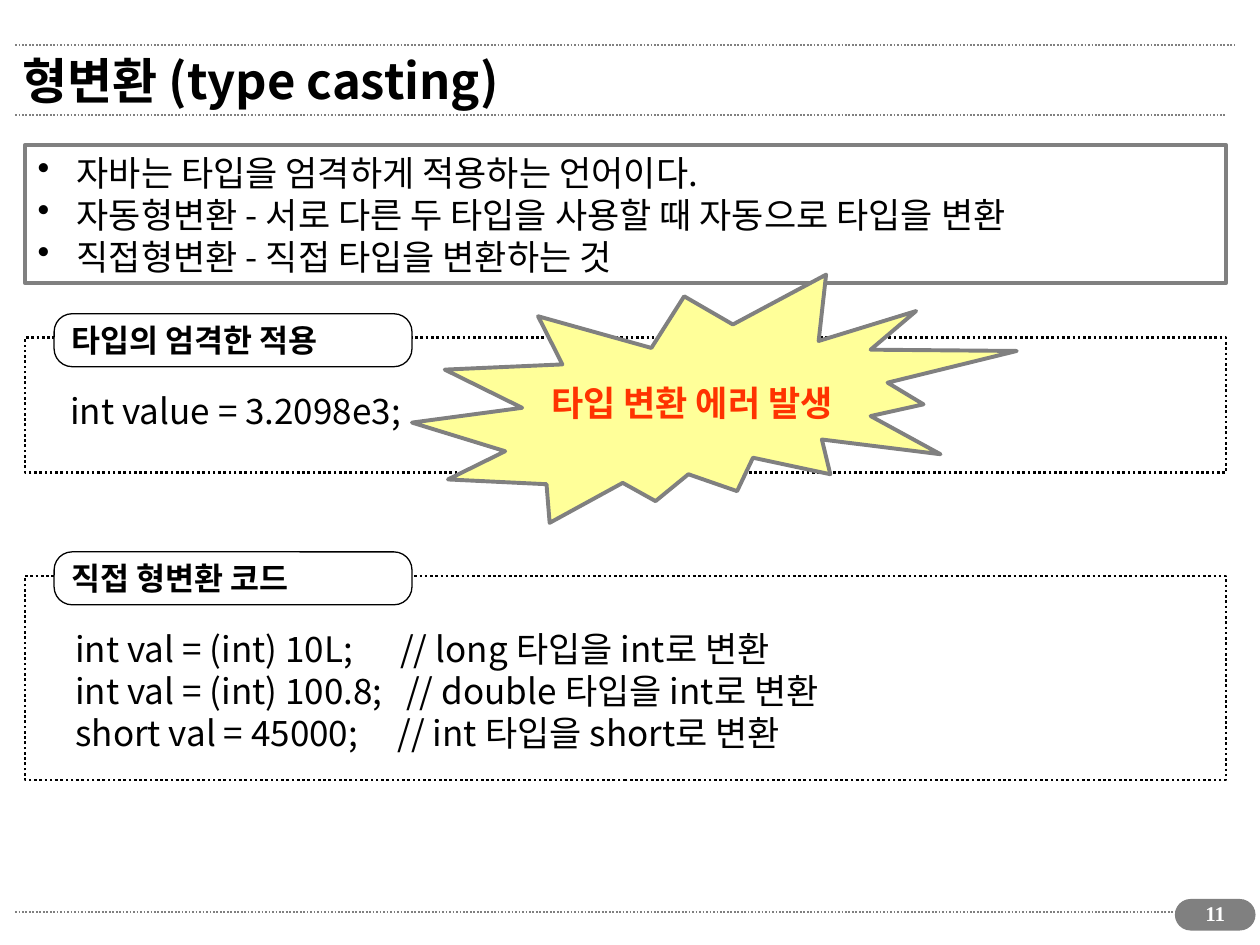
import dataclasses
import typing

import lxml.etree
import pptx
import pptx.dml.color
import pptx.enum.dml
import pptx.enum.shapes
import pptx.enum.text
import pptx.oxml
import pptx.oxml.ns
import pptx.util

Inches = pptx.util.Inches
Pt = pptx.util.Pt
Shape = pptx.enum.shapes.MSO_SHAPE
Align = pptx.enum.text.PP_ALIGN
Anchor = pptx.enum.text.MSO_ANCHOR
Dash = pptx.enum.dml.MSO_LINE

COLORS = {
    "black": "000000",
    "white": "FFFFFF",
    "gray": "808080",
    "yellow": "FFFF99",
    "red": "FF3300",
}
KOREAN_FONT = "Noto Sans CJK KR"
NUMBER_FONT = "Times New Roman"


@dataclasses.dataclass
class Area:
    left: float
    top: float
    width: float
    height: float

    def lengths(self) -> list[int]:
        return [Inches(n) for n in (self.left, self.top, self.width, self.height)]


@dataclasses.dataclass
class Style:
    size: float = 20
    color: str = "black"
    bold: bool = False
    font: str = KOREAN_FONT
    align: typing.Any = Align.LEFT
    anchor: typing.Any = Anchor.TOP
    wrap: bool = False
    bullet: bool = False


@dataclasses.dataclass
class Section:
    heading: str
    frame: Area
    code: list[str]
    code_area: Area


LABEL_STYLE = Style(size=18, bold=True, anchor=Anchor.MIDDLE)
SECTIONS = [
    Section("타입의 엄격한 적용", Area(0.2, 2.68, 9.53, 1.07),
            ["int value = 3.2098e3;"], Area(0.46, 3.04, 2.88, 0.44)),
    Section("직접 형변환 코드", Area(0.2, 4.57, 9.53, 1.62),
            ["int val = (int) 10L;      // long 타입을 int로 변환",
             "int val = (int) 100.8;   // double 타입을 int로 변환",
             "short val = 45000;     // int 타입을 short로 변환"],
            Area(0.5, 4.93, 6.37, 1.1)),
]


def rgb(name: str) -> pptx.dml.color.RGBColor:
    return pptx.dml.color.RGBColor.from_string(COLORS[name])


def add_bullet(para) -> None:
    properties = para._p.get_or_add_pPr()
    properties.set("marL", str(Inches(0.31)))
    properties.set("indent", str(-Inches(0.31)))
    mark = lxml.etree.SubElement(properties, pptx.oxml.ns.qn("a:buChar"))
    mark.set("char", "•")


def write(shape, lines: list[str], style: Style) -> None:
    """Fill a shape with one paragraph per line, in Latin and East Asian type."""
    frame = shape.text_frame
    frame.word_wrap = style.wrap
    frame.vertical_anchor = style.anchor
    frame.text = "\n".join(lines)
    for para in frame.paragraphs:
        para.alignment = style.align
        para.line_spacing = Pt(round(style.size * 1.2, 1))
        if style.bullet:
            add_bullet(para)
        for span in para.runs:
            span.font.size = Pt(style.size)
            span.font.bold = style.bold
            span.font.name = style.font
            span.font.color.rgb = rgb(style.color)
            east_asian = lxml.etree.SubElement(
                span._r.get_or_add_rPr(), pptx.oxml.ns.qn("a:ea"))
            east_asian.set("typeface", style.font)


def add_text(page, area: Area, lines: list[str], style: Style) -> None:
    write(page.shapes.add_textbox(*area.lengths()), lines, style)


def add_box(page, kind, area: Area, line: str, weight: float,
            fill: str | None = None, dash=None, corner: float | None = None):
    box = page.shapes.add_shape(kind, *area.lengths())
    box.shadow.inherit = False
    if corner is not None:
        box.adjustments[0] = corner
    if fill:
        box.fill.solid()
        box.fill.fore_color.rgb = rgb(fill)
    else:
        box.fill.background()
    box.line.color.rgb = rgb(line)
    box.line.width = Pt(weight)
    if dash:
        box.line.dash_style = dash
    return box


def add_rule(page, y: float, right: float) -> None:
    rule = page.shapes.add_connector(
        pptx.enum.shapes.MSO_CONNECTOR.STRAIGHT,
        Inches(0.12), Inches(y), Inches(right), Inches(y))
    rule.line.color.rgb = rgb("gray")
    rule.line.width = Pt(1)
    rule.line.dash_style = Dash.ROUND_DOT
    lxml.etree.SubElement(rule._element.spPr, pptx.oxml.ns.qn("a:effectLst"))


def add_section_frame(page, section: Section) -> None:
    add_box(page, Shape.RECTANGLE, section.frame, "black", 1.5, dash=Dash.ROUND_DOT)
    label_area = Area(0.43, section.frame.top - 0.19, 2.84, 0.42)
    label = add_box(page, Shape.ROUNDED_RECTANGLE, label_area, "black", 0.75,
                    fill="white", corner=0.34)
    write(label, [section.heading], LABEL_STYLE)
    add_text(page, section.code_area, section.code, Style())


def main() -> None:
    deck = pptx.Presentation()
    deck.slide_width, deck.slide_height = Inches(10), Inches(7.5)
    page = deck.slides.add_slide(deck.slide_layouts[6])

    for y, right in ((7.24, 9.73), (0.91, 9.72), (0.36, 9.8)):
        add_rule(page, y, right)
    add_box(page, Shape.ROUNDED_RECTANGLE, Area(9.33, 7.14, 0.63, 0.24),
            "gray", 0.75, fill="gray", corner=0.5)
    add_text(page, Area(0.08, 0.28, 9.1, 0.71), ["형변환 (type casting)"],
             Style(size=28, bold=True, anchor=Anchor.MIDDLE, wrap=True))

    summary = add_box(page, Shape.RECTANGLE, Area(0.2, 1.15, 9.53, 1.1), "gray", 2.25)
    write(summary, ["자바는 타입을 엄격하게 적용하는 언어이다.",
                    "자동형변환 - 서로 다른 두 타입을 사용할 때 자동으로 타입을 변환",
                    "직접형변환 - 직접 타입을 변환하는 것"],
          Style(wrap=True, bullet=True))

    strict_typing, explicit_cast = SECTIONS
    add_section_frame(page, strict_typing)
    burst = add_box(page, Shape.EXPLOSION2, Area(3.27, 2.18, 4.8, 1.97),
                    "gray", 2.25, fill="yellow")
    write(burst, ["타입 변환 에러 발생"],
          Style(color="red", bold=True, align=Align.CENTER, anchor=Anchor.MIDDLE))
    add_section_frame(page, explicit_cast)

    add_text(page, Area(9.37, 7.1, 0.55, 0.34), ["11"],
             Style(size=12, color="white", bold=True, font=NUMBER_FONT,
                   align=Align.CENTER, wrap=True))
    deck.save("out.pptx")


if __name__ == "__main__":
    main()
